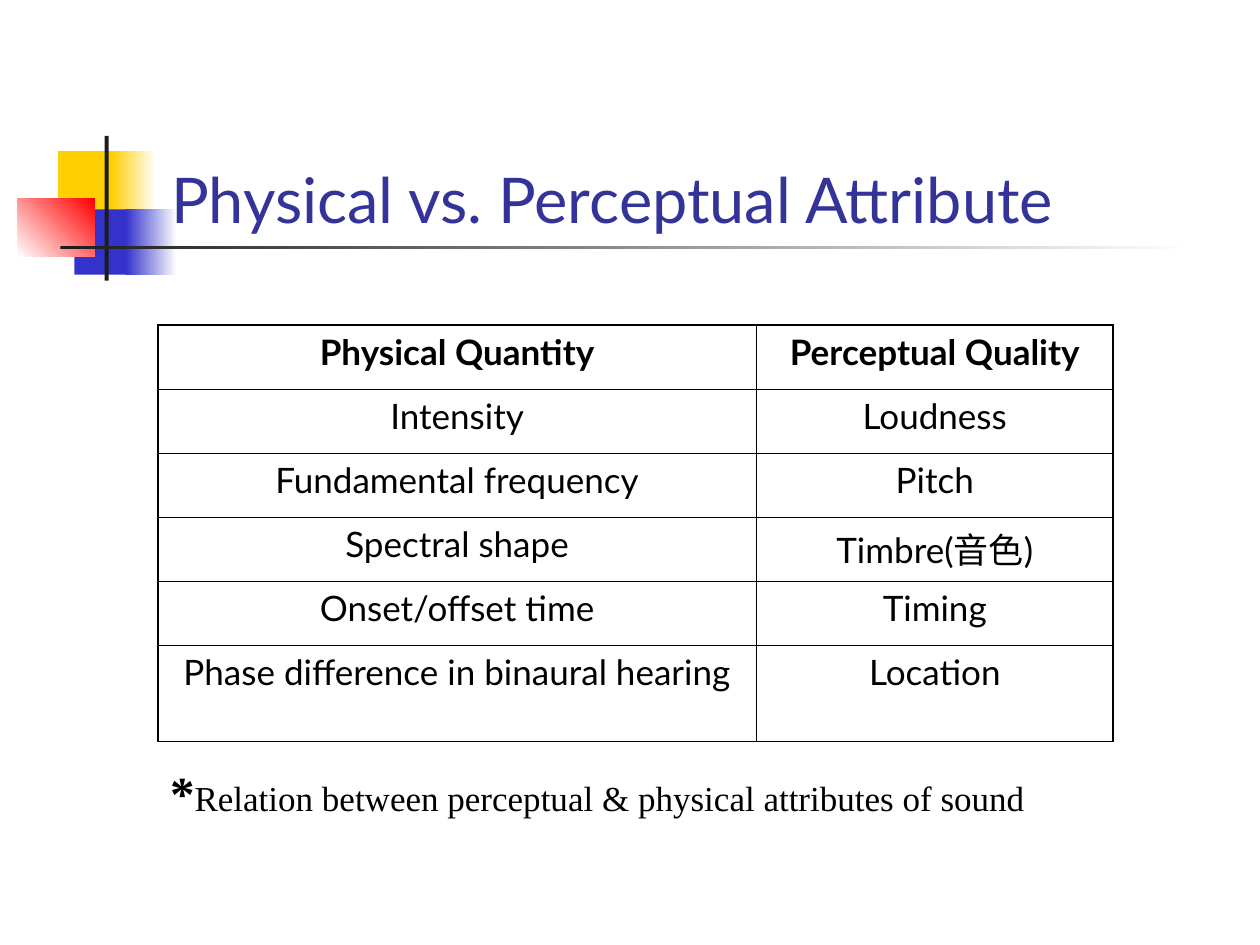
from dataclasses import dataclass

from lxml.etree import SubElement
from pptx import Presentation
from pptx.dml.color import RGBColor as Color
from pptx.enum.shapes import MSO_SHAPE as Preset
from pptx.enum.text import MSO_ANCHOR as Anchor, MSO_AUTO_SIZE as AutoSize, PP_ALIGN as Align
from pptx.oxml.ns import qn
from pptx.util import Cm, Pt


@dataclass(frozen=True)
class Theme:
    yellow: str = "FFCF01"
    blue: str = "3333CC"
    red: str = "FF0000"
    dark: str = "1C1C1C"
    white: str = "FFFFFF"
    black: str = "000000"
    title_color: str = "333399"
    sans: str = "Lato"
    serif: str = "Times New Roman"
    title_size: float = 36
    body_size: float = 20
    star_size: float = 28
    outer_border: float = 1.08
    inner_border: float = 0.45


class SlideBuilder:
    def __init__(self, slide, theme):
        self.slide = slide
        self.theme = theme

    def set_values(self, target, values):
        for name, value in values.items():
            setattr(target, name, value)

    def add_text(self, paragraph, text, size, font, color, bold=False):
        run = paragraph.add_run()
        run.text = text
        self.set_values(run.font, {"size": Pt(size), "name": font, "bold": bold})
        run.font.color.rgb = Color.from_string(color)

    def rectangle(self, box, colors, angle=0):
        shape = self.slide.shapes.add_shape(Preset.RECTANGLE, *map(Cm, box))
        shape.shadow.inherit = False
        shape.line.fill.background()
        if len(colors) == 1:
            shape.fill.solid()
            shape.fill.fore_color.rgb = Color.from_string(colors[0])
            return
        shape.fill.gradient()
        shape.fill.gradient_angle = angle
        for stop, color in zip(shape.fill.gradient_stops, colors):
            stop.color.rgb = Color.from_string(color)

    def title(self, text, box):
        shape = self.slide.shapes.title
        self.set_values(shape, dict(zip(("left", "top", "width", "height"), map(Cm, box))))
        self.set_values(shape.text_frame, {
            "vertical_anchor": Anchor.BOTTOM, "word_wrap": True, "auto_size": AutoSize.NONE})
        paragraph = shape.text_frame.paragraphs[0]
        paragraph.alignment = Align.LEFT
        self.add_text(paragraph, text, self.theme.title_size, self.theme.sans,
                      self.theme.title_color)
        shape.element.getparent().append(shape.element)

    def borders(self, cell, outer_sides):
        properties = cell._tc.get_or_add_tcPr()
        for index, side in enumerate("LRTB"):
            width = self.theme.outer_border if side in outer_sides else self.theme.inner_border
            line = SubElement(properties, qn(f"a:ln{side}"), w=str(int(Pt(width))))
            fill = SubElement(line, qn("a:solidFill"))
            SubElement(fill, qn("a:srgbClr"), val=self.theme.black)
            properties.insert(index, line)

    def table(self, rows, left, top, widths, heights):
        table = self.slide.shapes.add_table(
            len(rows), len(widths), Cm(left), Cm(top), Cm(sum(widths)), Cm(sum(heights))).table
        self.set_values(table, {"first_row": False, "horz_banding": False})
        for column, width in zip(table.columns, widths):
            column.width = Cm(width)
        for row_index, texts in enumerate(rows):
            table.rows[row_index].height = Cm(heights[row_index])
            for column_index, text in enumerate(texts):
                cell = table.cell(row_index, column_index)
                cell.fill.background()
                edges = {"L": column_index == 0, "R": column_index == len(widths) - 1,
                         "T": row_index == 0, "B": row_index == len(rows) - 1}
                self.borders(cell, [side for side, outer in edges.items() if outer])
                paragraph = cell.text_frame.paragraphs[0]
                paragraph.alignment = Align.CENTER
                self.add_text(paragraph, text, self.theme.body_size, self.theme.sans,
                              self.theme.black, bold=row_index == 0)

    def footnote(self, text, box):
        frame = self.slide.shapes.add_textbox(*map(Cm, box)).text_frame
        self.set_values(frame, {"word_wrap": True, "auto_size": AutoSize.SHAPE_TO_FIT_TEXT})
        paragraph = frame.paragraphs[0]
        theme = self.theme
        self.add_text(paragraph, "*", theme.star_size, theme.serif, theme.black, bold=True)
        self.add_text(paragraph, text, theme.body_size, theme.serif, theme.black)


def main():
    presentation = Presentation()
    presentation.slide_width, presentation.slide_height = Cm(25.4), Cm(19.05)
    slide = presentation.slides.add_slide(presentation.slide_layouts[5])
    theme = Theme()
    builder = SlideBuilder(slide, theme)

    decorations = [
        ((1.17, 3.05, 1.22, 1.32), [theme.yellow], 0),
        ((2.24, 3.05, 0.91, 1.32), [theme.yellow, theme.white], 0),
        ((1.5, 4.22, 1.17, 1.32), [theme.blue], 0),
        ((2.54, 4.22, 1.02, 1.32), [theme.blue, theme.white], 0),
        ((0.36, 4.01, 1.55, 1.17), [theme.white, theme.red], 45),
        ((2.11, 2.74, 0.08, 2.92), [theme.dark], 0),
        ((1.22, 4.95, 22.86, 0.08), [theme.dark, theme.white], 0),
    ]
    for box, colors, angle in decorations:
        builder.rectangle(box, colors, angle)

    builder.title("Physical vs. Perceptual Attribute", (3.2, 1.7, 21.64, 3.18))
    attributes = [
        ("Physical Quantity", "Perceptual Quality"),
        ("Intensity", "Loudness"),
        ("Fundamental frequency", "Pitch"),
        ("Spectral shape", "Timbre(音色)"),
        ("Onset/offset time", "Timing"),
        ("Phase difference in binaural hearing", "Location"),
    ]
    builder.table(attributes, 3.18, 6.55, [12.07, 7.19], [1.29] * 5 + [1.95])
    builder.footnote("Relation between perceptual & physical attributes of sound",
                     (3.18, 15.24, 18.62, 1.45))
    presentation.save("out.pptx")


if __name__ == "__main__":
    main()
